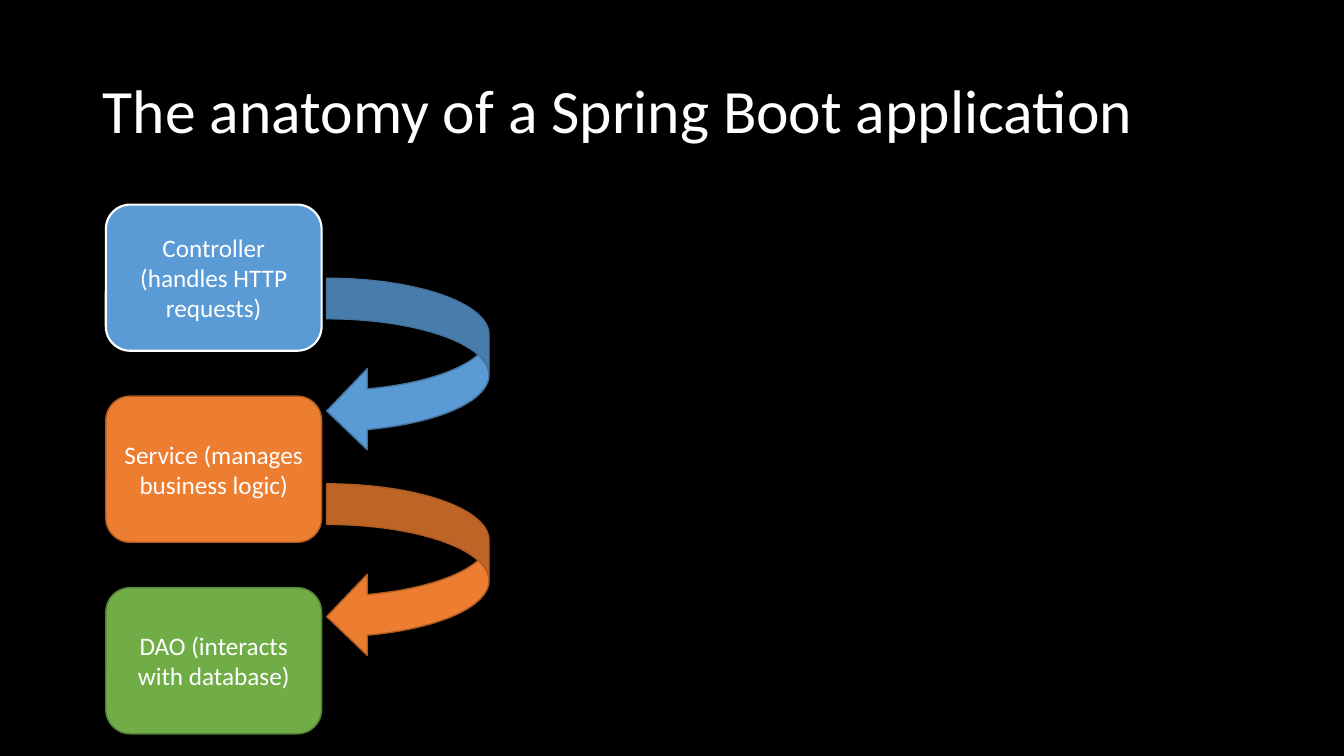
"""Build a slide showing the layers of a Spring Boot application."""
from dataclasses import dataclass

from pptx import Presentation
from pptx.dml.color import RGBColor
from pptx.enum.shapes import MSO_SHAPE
from pptx.enum.text import MSO_ANCHOR, MSO_AUTO_SIZE, PP_ALIGN
from pptx.shapes.autoshape import Shape
from pptx.slide import Slide
from pptx.util import Inches, Pt

COLORS = {
    "background": "000000",
    "text": "FFFFFF",
    "blue": "5B9BD5",
    "blue edge": "43739E",
    "orange": "ED7D31",
    "orange edge": "AF5C24",
    "green": "70AD47",
    "green edge": "538035",
}
FONT = "Calibri"
SLIDE_WIDTH, SLIDE_HEIGHT = 13.33, 7.5


@dataclass(frozen=True)
class Column:
    """A column of equal shapes, one per row, in inches."""

    preset: MSO_SHAPE
    left: float
    top: float
    width: float
    height: float
    pitch: float


@dataclass(frozen=True)
class Item:
    """The colours and wording of one shape in a column."""

    fill: str
    edge: str
    edge_width: float = 1
    label: str = ""


LAYER_COLUMN = Column(MSO_SHAPE.ROUNDED_RECTANGLE, 1.05, 2.03, 2.14, 1.45, 1.9)
CALL_COLUMN = Column(MSO_SHAPE.CURVED_LEFT_ARROW, 3.24, 2.76, 1.61, 1.72, 2.04)

LAYERS = [
    Item("blue", "text", 1.5, "Controller (handles HTTP requests)"),
    Item("orange", "orange edge", label="Service (manages business logic)"),
    Item("green", "green edge", label="DAO (interacts with database)"),
]
CALLS = [Item("blue", "blue edge"), Item("orange", "orange edge")]


def color(name: str) -> RGBColor:
    """Look up a named colour."""
    return RGBColor.from_string(COLORS[name])


def write(shape: Shape, text: str, size: float, align: PP_ALIGN) -> None:
    """Put vertically centred text into a shape."""
    frame = shape.text_frame
    frame.word_wrap = True
    frame.auto_size = MSO_AUTO_SIZE.NONE
    frame.vertical_anchor = MSO_ANCHOR.MIDDLE
    paragraph = frame.paragraphs[0]
    paragraph.alignment = align
    run = paragraph.add_run()
    run.text = text
    run.font.name = FONT
    run.font.size = Pt(size)
    run.font.color.rgb = color("text")


def draw_title(slide: Slide, text: str) -> None:
    """Place and format the slide title."""
    title = slide.shapes.title
    title.left, title.top = Inches(0.92), Inches(0.4)
    title.width, title.height = Inches(11.5), Inches(1.45)
    write(title, text, 44, PP_ALIGN.LEFT)
    title.text_frame.paragraphs[0].line_spacing = 0.9


def draw_column(slide: Slide, column: Column, items: list[Item]) -> None:
    """Draw the items down a column at its pitch."""
    for row, item in enumerate(items):
        shape = slide.shapes.add_shape(
            column.preset,
            Inches(column.left),
            Inches(column.top + row * column.pitch),
            Inches(column.width),
            Inches(column.height),
        )
        shape.shadow.inherit = False
        shape.fill.solid()
        shape.fill.fore_color.rgb = color(item.fill)
        shape.line.color.rgb = color(item.edge)
        shape.line.width = Pt(item.edge_width)
        if item.label:
            write(shape, item.label, 18, PP_ALIGN.CENTER)


def main() -> None:
    """Build and save the presentation."""
    deck = Presentation()
    deck.slide_width, deck.slide_height = Inches(SLIDE_WIDTH), Inches(SLIDE_HEIGHT)
    slide = deck.slides.add_slide(deck.slide_layouts.get_by_name("Title Only"))
    slide.background.fill.solid()
    slide.background.fill.fore_color.rgb = color("background")
    draw_title(slide, "The anatomy of a Spring Boot application")
    draw_column(slide, LAYER_COLUMN, LAYERS)
    draw_column(slide, CALL_COLUMN, CALLS)
    deck.save("out.pptx")


main()
